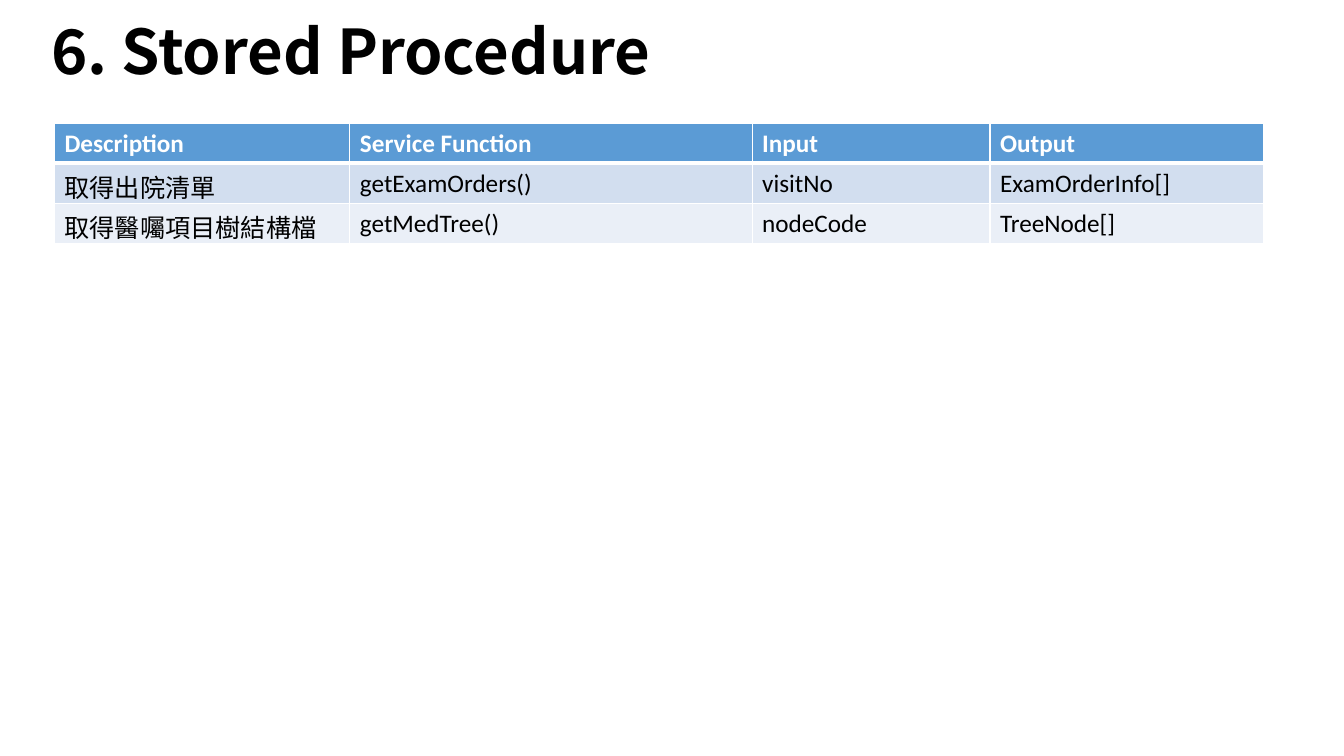
"""Build the stored procedure slide with its table of service functions."""
from pptx import Presentation
from pptx.dml.color import RGBColor
from pptx.enum import text
from pptx.oxml import parse_xml
from pptx.oxml.ns import nsdecls
from pptx.util import Inches, Pt

TITLE = "6. Stored Procedure"
ROWS = [
    ("Description", "Service Function", "Input", "Output"),
    ("取得出院清單", "getExamOrders()", "visitNo", "ExamOrderInfo[]"),
    ("取得醫囑項目樹結構檔", "getMedTree()", "nodeCode", "TreeNode[]"),
]
COLS = (2.93, 3.99, 2.36, 2.71)
ROW_H = 0.34
BLACK = RGBColor(0, 0, 0)
WHITE = RGBColor(0xFF, 0xFF, 0xFF)
FILLS = [RGBColor(0x5B, 0x9B, 0xD5), RGBColor(0xD2, 0xDE, 0xEF),
         RGBColor(0xEA, 0xEF, 0xF7)]
LATIN, HAN = "Calibri", "Noto Sans CJK SC"
LEADS = [LATIN, "Arial", HAN]


def style(para, size, font, color, bold):
    for run in para.runs:
        face = run.font
        face.size, face.name, face.bold = Pt(size), font, bold
        face.color.rgb = color
        if font != LATIN:
            east = parse_xml(f'<a:ea {nsdecls("a")} typeface="{HAN}"/>')
            run._r.rPr.find("{*}latin").addnext(east)


def edge(cell, side, width):
    cell._tc.get_or_add_tcPr().append(parse_xml(
        f'<a:ln{side} {nsdecls("a")} w="{Pt(width)}"><a:solidFill>'
        f'<a:srgbClr val="{WHITE}"/></a:solidFill></a:ln{side}>'))


def add_title(slide):
    box = slide.shapes.add_textbox(
        Inches(0.41), Inches(-0.1), Inches(9.3), Inches(1.28))
    frame = box.text_frame
    frame.word_wrap = True
    frame.vertical_anchor = text.MSO_ANCHOR.MIDDLE
    frame.text = TITLE
    para = frame.paragraphs[0]
    para.line_spacing = 0.9
    style(para, 44, HAN, BLACK, True)


def add_grid(slide):
    grid = slide.shapes.add_table(
        len(ROWS), len(COLS), Inches(0.54), Inches(1.22),
        Inches(sum(COLS)), Inches(ROW_H * len(ROWS))).table
    for col, width in zip(grid.columns, COLS):
        col.width = Inches(width)
    for r, row in enumerate(ROWS):
        grid.rows[r].height = Inches(ROW_H)
        head = r == 0
        for c, words in enumerate(row):
            cell = grid.cell(r, c)
            cell.text = words
            cell.vertical_anchor = text.MSO_ANCHOR.MIDDLE
            widths = {"L": 1, "R": 1, "T": 3 if r == 1 else 1,
                      "B": 3 if head else 1}
            for side, width in widths.items():
                edge(cell, side, width)
            cell.fill.solid()
            cell.fill.fore_color.rgb = FILLS[r]
            style(cell.text_frame.paragraphs[0], 18,
                  LATIN if c else LEADS[r], WHITE if head else BLACK, head)


def main():
    deck = Presentation()
    deck.slide_width, deck.slide_height = Inches(13.33), Inches(7.5)
    slide = deck.slides.add_slide(deck.slide_layouts[6])
    add_title(slide)
    add_grid(slide)
    deck.save("out.pptx")


if __name__ == "__main__":
    main()
